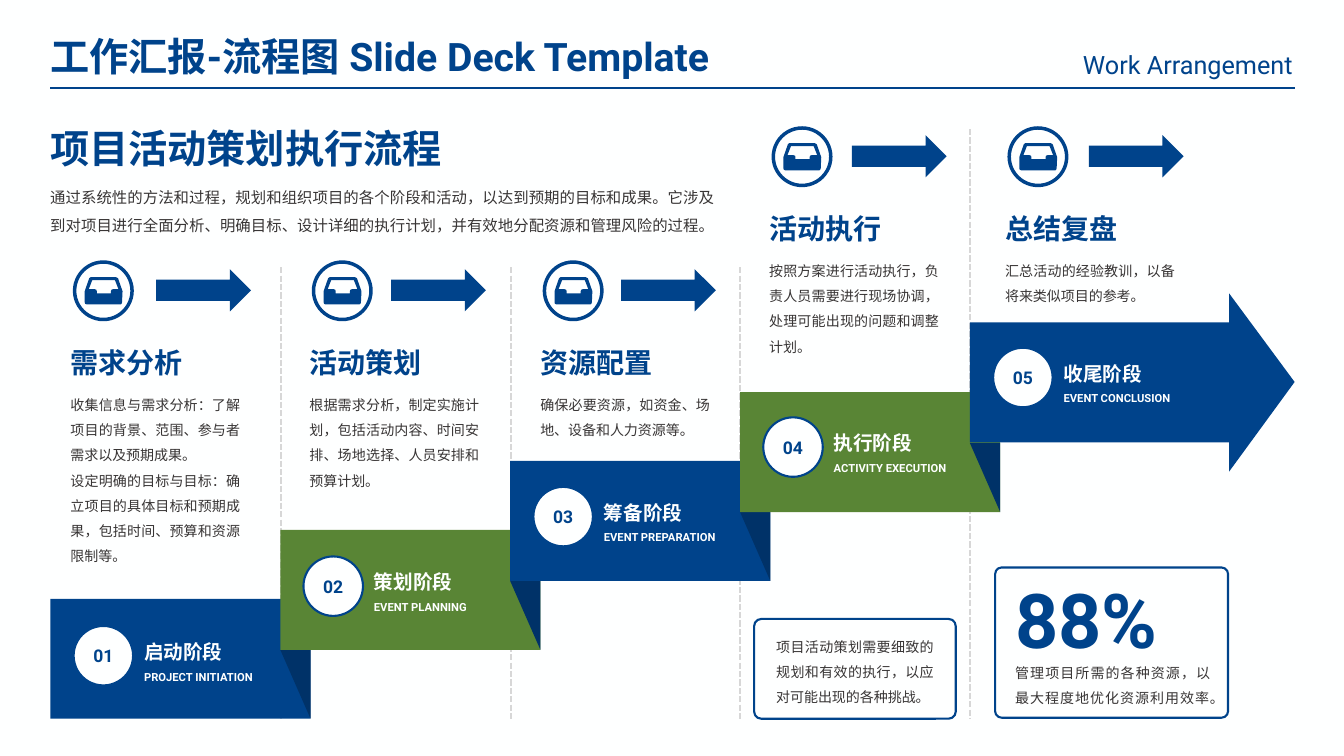
from pptx import Presentation
from pptx.dml.color import RGBColor
from pptx.enum.dml import MSO_LINE
from pptx.enum.lang import MSO_LANGUAGE_ID
from pptx.enum.shapes import MSO_CONNECTOR, MSO_SHAPE
from pptx.enum.text import MSO_ANCHOR, MSO_AUTO_SIZE, PP_ALIGN
from pptx.oxml.ns import qn
from pptx.util import Inches, Pt
from lxml import etree

BLUE, GREEN, NAVY = "00438B", "598535", "003268"
WHITE, GREY, INK = "FEFFFF", "D7D7D7", "383535"
LEFT, CENTER, RIGHT, JUSTIFY = PP_ALIGN.LEFT, PP_ALIGN.CENTER, PP_ALIGN.RIGHT, PP_ALIGN.JUSTIFY
OVAL, RECTANGLE, ROUNDED = MSO_SHAPE.OVAL, MSO_SHAPE.RECTANGLE, MSO_SHAPE.ROUNDED_RECTANGLE
TRIANGLE, RIGHT_ARROW = MSO_SHAPE.ISOSCELES_TRIANGLE, MSO_SHAPE.RIGHT_ARROW
STRAIGHT, DASHED, SOLID = MSO_CONNECTOR.STRAIGHT, MSO_LINE.SQUARE_DOT, MSO_LINE.SOLID
CHINESE = MSO_LANGUAGE_ID.SIMPLIFIED_CHINESE

deck = Presentation()
deck.slide_width, deck.slide_height = Inches(13.33), Inches(7.5)
page = deck.slides.add_slide(deck.slide_layouts[6])
page.background.fill.solid()
page.background.fill.fore_color.rgb = RGBColor.from_string(WHITE)


def paint(shape, fill=None, line=None, width=1.5):
    shape.shadow.inherit = False
    if fill:
        shape.fill.solid()
        shape.fill.fore_color.rgb = RGBColor.from_string(fill)
    else:
        shape.fill.background()
    if line:
        shape.line.color.rgb = RGBColor.from_string(line)
        shape.line.width = Pt(width)
    else:
        shape.line.fill.background()
    return shape


def write(box, lines, color, bold=False, align=JUSTIFY, spacing=1.5, wrap=True):
    frame = box.text_frame
    frame.word_wrap = wrap
    for number, (words, size) in enumerate(lines):
        para = frame.add_paragraph() if number else frame.paragraphs[0]
        para.alignment = align
        para.line_spacing = spacing
        span = para.add_run()
        span.text = words
        span.font.size = Pt(size)
        span.font.bold = bold
        span.font.name = "Roboto"
        span.font.language_id = CHINESE
        span.font.color.rgb = RGBColor.from_string(color)
        latin = span.font._element.find(qn("a:latin"))
        east_asian = etree.Element(qn("a:ea"), typeface="Roboto")
        latin.addnext(east_asian)


cards = [(9.87, 5.63, 2.31, 1.49, 0.043), (7.48, 6.14, 2, 0.99, 0.072)]
for left, top, width, height, corner in cards:
    card = page.shapes.add_shape(ROUNDED, Inches(left), Inches(top), Inches(width), Inches(height))
    card.adjustments[0] = corner
    paint(card, WHITE, BLUE)

rules = [
    (7.34, 2.65, 7.34, 7.13, GREY, DASHED),
    (9.62, 1.28, 9.62, 7.13, GREY, DASHED),
    (5.07, 2.65, 5.07, 7.13, GREY, DASHED),
    (2.79, 2.65, 2.79, 7.13, GREY, DASHED),
    (0.5, 0.87, 12.84, 0.87, BLUE, SOLID),
]
for x1, y1, x2, y2, color, dash in rules:
    rule = page.shapes.add_connector(STRAIGHT, Inches(x1), Inches(y1), Inches(x2), Inches(y2))
    rule.line.color.rgb = RGBColor.from_string(color)
    rule.line.width = Pt(1.5)
    rule.line.dash_style = dash
    etree.SubElement(rule._element.spPr, qn("a:effectLst"))

texts = [
    (0.4, 0.27, 7.45, 0.57, "工作汇报-流程图 Slide Deck Template", 28, BLUE, True, LEFT, 1, False),
    (10.39, 0.44, 2.53, 0.4, "Work Arrangement", 18, BLUE, False, RIGHT, 1, False),
    (0.4, 1.18, 4.13, 0.57, "项目活动策划执行流程", 28, BLUE, True, LEFT, 1, False),
    (0.4, 1.73, 6.94, 0.63, "通过系统性的方法和过程，规划和组织项目的各个阶段和活动，以达到预期的目标和成果。"
     "它涉及到对项目进行全面分析、明确目标、设计详细的执行计划，并有效地分配资源和管理风险的过程。",
     11, INK, False, LEFT, 1.5, True),
    (9.97, 5.63, 1.88, 1.01, "88%", 54, BLUE, True, LEFT, 1, True),
    (9.97, 6.46, 2.13, 0.58, "管理项目所需的各种资源，以最大程度地优化资源利用效率。",
     10, INK, False, JUSTIFY, 1.5, True),
    (7.6, 6.2, 1.76, 0.83, "项目活动策划需要细致的规划和有效的执行，以应对可能出现的各种挑战。",
     10, INK, False, JUSTIFY, 1.5, True),
]
for left, top, width, height, words, size, color, bold, align, spacing, wrap in texts:
    box = page.shapes.add_textbox(Inches(left), Inches(top), Inches(width), Inches(height))
    write(box, [(words, size)], color, bold, align, spacing, wrap)
    box.text_frame.auto_size = MSO_AUTO_SIZE.SHAPE_TO_FIT_TEXT

STEP, RISE = 2.28, 2.05 / 3
for index in range(4):
    left, top = 0.5 + STEP * index, 5.94 - RISE * index
    band = page.shapes.add_shape(RECTANGLE, Inches(left), Inches(top), Inches(2.58), Inches(1.19))
    paint(band, GREEN if index % 2 else BLUE)
    fold = page.shapes.add_shape(
        TRIANGLE, Inches(left + STEP), Inches(top + 1.19 - RISE), Inches(0.3), Inches(RISE))
    fold.adjustments[0] = 0
    fold.rotation = 180
    paint(fold, NAVY)

final_arrow = [(1219, 291), (1284, 379), (1219, 468), (1219, 439), (962, 439), (962, 320), (1219, 320)]
builder = page.shapes.build_freeform(*final_arrow[0], scale=Inches(0.01))
builder.add_line_segments(final_arrow[1:])
paint(builder.convert_to_shape(), BLUE)

stages = [
    ("启动阶段", "PROJECT INITIATION"),
    ("策划阶段", "EVENT PLANNING"),
    ("筹备阶段", "EVENT PREPARATION"),
    ("执行阶段", "ACTIVITY EXECUTION"),
    ("收尾阶段", "EVENT CONCLUSION"),
]
for index, (stage, english) in enumerate(stages):
    left, top = 0.73 + STEP * index, 6.21 - 0.69 * index
    badge = page.shapes.add_shape(OVAL, Inches(left), Inches(top), Inches(0.59), Inches(0.59))
    paint(badge, WHITE, BLUE)
    badge.text_frame.vertical_anchor = MSO_ANCHOR.MIDDLE
    write(badge, [(f"{index + 1:02}", 12.5)], BLUE, True, CENTER, 1, False)
    label = page.shapes.add_textbox(Inches(left + 0.6), Inches(top - 0.03), Inches(1.45), Inches(0.63))
    write(label, [(stage, 14), (english, 8)], WHITE, True)
    label.text_frame.auto_size = MSO_AUTO_SIZE.SHAPE_TO_FIT_TEXT

tray_outline = [(74, 50), (73, 53), (71, 54), (4, 54), (1, 53), (0, 50), (0, 28), (1, 25),
                (9, 2), (12, 0), (62, 0), (66, 2), (74, 25), (75, 28)]
tray_opening = [(60, 6), (15, 6), (8, 24), (20, 24), (23, 25), (24, 28), (24, 32),
                (52, 32), (52, 28), (53, 25), (56, 24), (67, 24)]
columns = [
    (0.6, 2.6, 1.55, 1.84, "需求分析", ["收集信息与需求分析：了解项目的背景、范围、参与者需求以及预期成果。",
     "设定明确的目标与目标：确立项目的具体目标和预期成果，包括时间、预算和资源限制等。"]),
    (2.97, 2.6, 3.88, 1.08, "活动策划",
     ["根据需求分析，制定实施计划，包括活动内容、时间安排、场地选择、人员安排和预算计划。"]),
    (5.26, 2.6, 6.16, 0.58, "资源配置", ["确保必要资源，如资金、场地、设备和人力资源等。"]),
    (7.53, 1.27, 8.45, 1.08, "活动执行",
     ["按照方案进行活动执行，负责人员需要进行现场协调，处理可能出现的问题和调整计划。"]),
    (9.87, 1.27, 10.8, 0.58, "总结复盘", ["汇总活动的经验教训，以备将来类似项目的参考。"]),
]
for left, top, arrow_left, body_height, heading, body in columns:
    builder = page.shapes.build_freeform(*tray_outline[0], scale=Inches(1) / 200)
    builder.add_line_segments(tray_outline[1:])
    builder.move_to(*tray_opening[0])
    builder.add_line_segments(tray_opening[1:])
    paint(builder.convert_to_shape(Inches(left + 0.24), Inches(top + 0.15)), BLUE)
    ring = page.shapes.add_shape(OVAL, Inches(left + 0.14), Inches(top), Inches(0.57), Inches(0.57))
    paint(ring, None, BLUE, 2.5)
    arrow = page.shapes.add_shape(
        RIGHT_ARROW, Inches(arrow_left), Inches(top + 0.07), Inches(0.94), Inches(0.42))
    paint(arrow, BLUE)
    title = page.shapes.add_textbox(Inches(left), Inches(top + 0.61), Inches(1.88), Inches(0.56))
    write(title, [(heading, 20)], BLUE, True)
    detail = page.shapes.add_textbox(Inches(left), Inches(top + 1.2), Inches(1.88), Inches(body_height))
    write(detail, [(words, 10) for words in body], INK)
    for box in (title, detail):
        box.text_frame.auto_size = MSO_AUTO_SIZE.SHAPE_TO_FIT_TEXT

deck.save("out.pptx")
